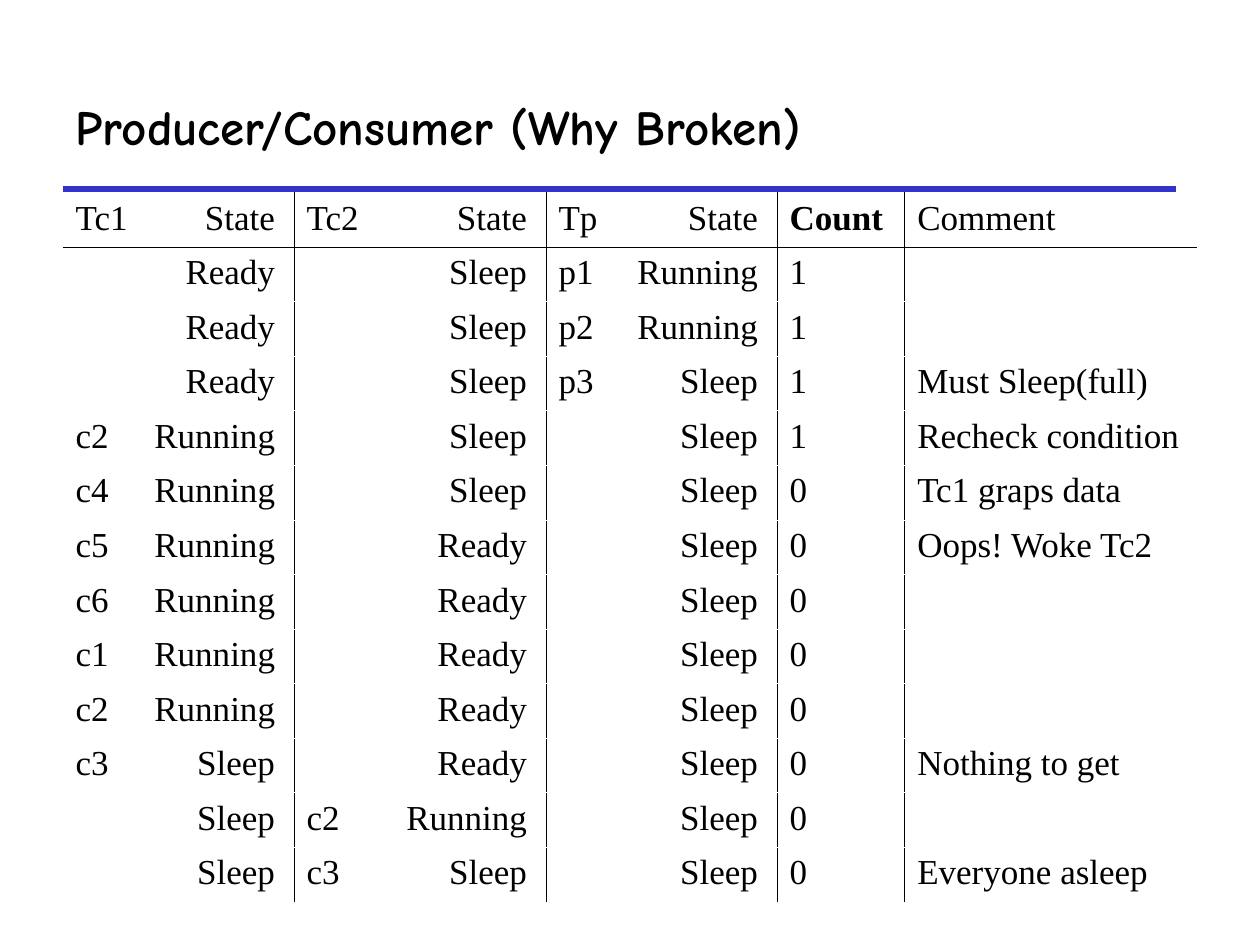
from pptx import Presentation
from pptx.dml.color import RGBColor
from pptx.enum import shapes, text
from pptx.oxml import ns, xmlchemy
from pptx.util import Pt

BLACK = RGBColor(0x00, 0x00, 0x00)
WHITE = RGBColor(0xFF, 0xFF, 0xFF)
BLUE = RGBColor(0x33, 0x33, 0xCC)

LEFT = 36
HEADER = ("Tc1\tState", "Tc2\tState", "Tp\tState", "Count", "Comment")
# Thread steps and states, buffer count, comment
STEPS = [
    ("\tReady", "\tSleep", "p1\tRunning", "1", ""),
    ("\tReady", "\tSleep", "p2\tRunning", "1", ""),
    ("\tReady", "\tSleep", "p3\tSleep", "1", "Must Sleep(full)"),
    ("c2\tRunning", "\tSleep", "\tSleep", "1", "Recheck condition"),
    ("c4\tRunning", "\tSleep", "\tSleep", "0", "Tc1 graps data"),
    ("c5\tRunning", "\tReady", "\tSleep", "0", "Oops! Woke Tc2"),
    ("c6\tRunning", "\tReady", "\tSleep", "0", ""),
    ("c1\tRunning", "\tReady", "\tSleep", "0", ""),
    ("c2\tRunning", "\tReady", "\tSleep", "0", ""),
    ("c3\tSleep", "\tReady", "\tSleep", "0", "Nothing to get"),
    ("\tSleep", "c2\tRunning", "\tSleep", "0", ""),
    ("\tSleep", "c3\tSleep", "\tSleep", "0", "Everyone asleep"),
]
COLUMN_WIDTHS = (132, 144, 132, 73, 167)
STATE_TABS = {0: 114, 1: 126, 2: 114}  # right edge of each state, by column
ROW_HEIGHT = 31.2


class Deck:
    title_font, title_size = "Comic Neue", 28
    body_font, body_size = "Times New Roman", 20
    border_width = 0.45

    def __init__(self, prs):
        self.s = prs.slides.add_slide(prs.slide_layouts[5])

    def run(self, p, words, font, size, bold=False):
        r = p.add_run()
        r.text = words
        r.font.name, r.font.size, r.font.bold = font, Pt(size), bold
        r.font.color.rgb = BLACK

    def title(self, words, x, y, w, h):
        sp = self.s.shapes.title
        sp.left, sp.top, sp.width, sp.height = Pt(x), Pt(y), Pt(w), Pt(h)
        tf = sp.text_frame
        tf.vertical_anchor = text.MSO_ANCHOR.MIDDLE
        p = tf.paragraphs[0]
        p.alignment = text.PP_ALIGN.LEFT
        self.run(p, words, self.title_font, self.title_size, True)

    def rule(self, x, y, w, color, weight):
        line = self.s.shapes.add_connector(
            shapes.MSO_CONNECTOR.STRAIGHT, Pt(x), Pt(y), Pt(x + w), Pt(y))
        line.line.color.rgb = color
        line.line.width = Pt(weight)
        props = line._element.spPr
        props.append(xmlchemy.OxmlElement("a:effectLst"))

    def border(self, cell, side, color):
        ln = xmlchemy.OxmlElement(f"a:ln{side}")
        ln.set("w", str(Pt(self.border_width)))
        fill = xmlchemy.OxmlElement("a:solidFill")
        clr = xmlchemy.OxmlElement("a:srgbClr")
        clr.set("val", str(color))
        fill.append(clr)
        ln.append(fill)
        cell._tc.get_or_add_tcPr().append(ln)

    def right_tab(self, p, pos):
        tabs = xmlchemy.OxmlElement("a:tabLst")
        tab = xmlchemy.OxmlElement("a:tab")
        tab.set("pos", str(Pt(pos)))
        tab.set("algn", "r")
        tabs.append(tab)
        p._p.get_or_add_pPr().append(tabs)

    def table(self, rows, x, y, widths, row_height, tabs):
        frame = self.s.shapes.add_table(
            len(rows), len(widths), Pt(x), Pt(y),
            Pt(sum(widths)), Pt(row_height * len(rows)))
        table = frame.table
        table.first_row = table.horz_banding = False
        for column, width in zip(table.columns, widths):
            column.width = Pt(width)
        last = len(widths) - 1
        for i, row in enumerate(rows):
            table.rows[i].height = Pt(row_height)
            for j, words in enumerate(row):
                cell = table.cell(i, j)
                # Lines only between columns and under the header
                black = {"L": j > 0, "R": j < last, "T": i == 1, "B": i == 0}
                for side, on in black.items():
                    self.border(cell, side, BLACK if on else WHITE)
                cell.fill.background()
                p = cell.text_frame.paragraphs[0]
                if j in tabs:
                    self.right_tab(p, tabs[j])
                if words:
                    self.run(p, words, self.body_font, self.body_size,
                             words == "Count")


def main():
    prs = Presentation()
    prs.slide_width, prs.slide_height = Pt(720), Pt(540)
    deck = Deck(prs)
    # Heading
    deck.rule(LEFT, 108, 636, BLUE, 3)
    deck.title("Producer/Consumer (Why Broken)", LEFT, 36, 636, 72)
    # Trace of the three threads
    deck.table([HEADER] + STEPS, LEFT, 110, COLUMN_WIDTHS, ROW_HEIGHT,
               STATE_TABS)
    prs.save("out.pptx")


if __name__ == "__main__":
    main()
